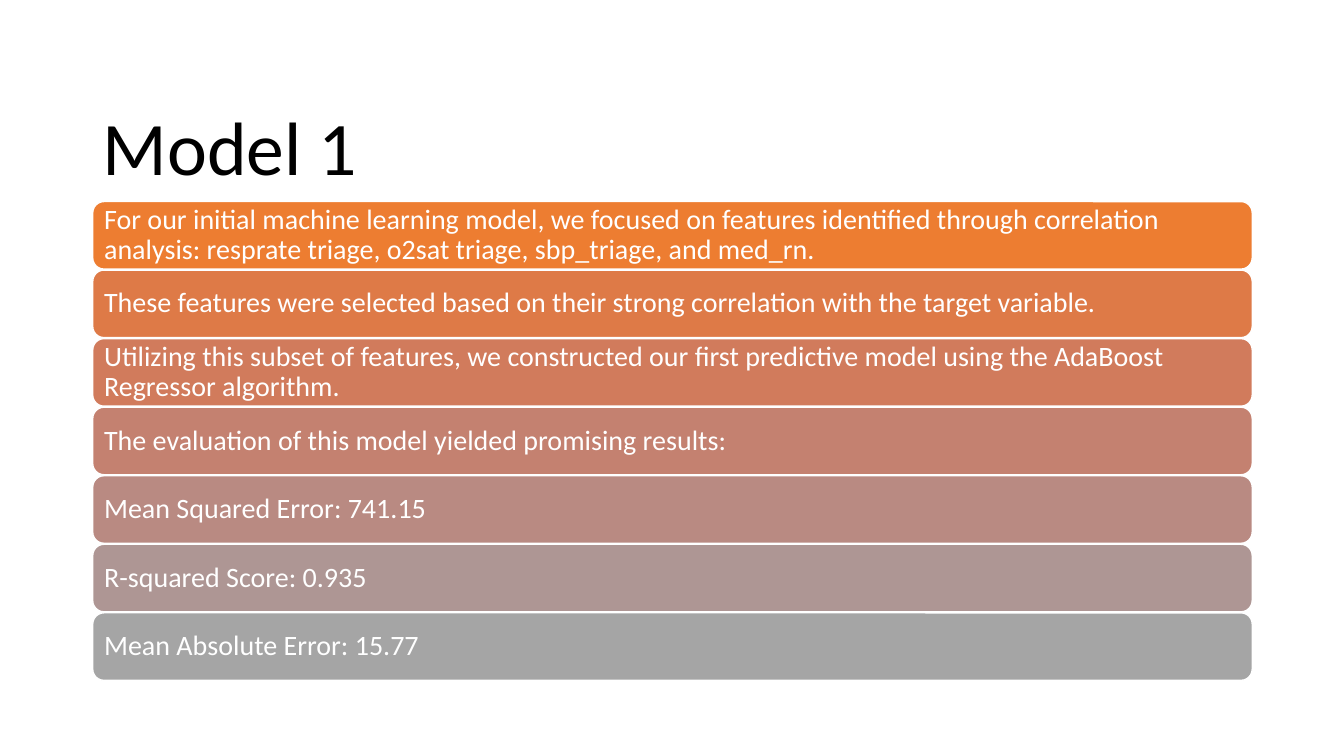
from pptx import Presentation
from pptx import util as u
from pptx.dml.color import RGBColor
from pptx.enum import shapes, text

PX = 9144
FONT = "Calibri"
BARS = [
    ("ED7D31", "For our initial machine learning model, we focused on features identified "
               "through correlation analysis: resprate triage, o2sat triage, sbp_triage, and med_rn."),
    ("DE7A47", "These features were selected based on their strong correlation with the target variable."),
    ("D17B5C", "Utilizing this subset of features, we constructed our first predictive model "
               "using the AdaBoost Regressor algorithm."),
    ("C48170", "The evaluation of this model yielded promising results:"),
    ("B98A82", "Mean Squared Error: 741.15"),
    ("AE9694", "R-squared Score: 0.935"),
    ("A5A5A5", "Mean Absolute Error: 15.77"),
]


def px(n):
    return u.Emu(n * PX)


def paint(form, color):
    form.rgb = RGBColor.from_string(color)


def write(frame, words, size, color, anchor, inset):
    frame.word_wrap = True
    frame.auto_size = text.MSO_AUTO_SIZE.NONE
    frame.vertical_anchor = anchor
    frame.margin_left = frame.margin_right = px(inset)
    para = frame.paragraphs[0]
    para.alignment = text.PP_ALIGN.LEFT
    para.line_spacing = 0.9
    run = para.add_run()
    run.text = words
    run.font.size = u.Pt(size)
    run.font.name = FONT
    paint(run.font.color, color)


def head(slide, box, words):
    title = slide.shapes.title
    title.left, title.top, title.width, title.height = map(px, box)
    write(title.text_frame, words, 54, "000000", text.MSO_ANCHOR.BOTTOM, 10)


def stack(slide, box, bars, gap):
    left, top, width, height = box
    pitch = (height + gap) // len(bars)
    for i, (color, words) in enumerate(bars):
        bar = slide.shapes.add_shape(
            shapes.MSO_SHAPE.ROUNDED_RECTANGLE,
            px(left), px(top + i * pitch), px(width), px(pitch - gap))
        bar.shadow.inherit = False
        bar.fill.solid()
        paint(bar.fill.fore_color, color)
        paint(bar.line.color, "FFFFFF")
        bar.line.width = u.Pt(1)
        frame = bar.text_frame
        frame.margin_top = frame.margin_bottom = px(8)
        write(frame, words, 20, "FFFFFF", text.MSO_ANCHOR.MIDDLE, 8)


def main():
    deck = Presentation()
    deck.slide_width, deck.slide_height = px(1333), px(750)
    slide = deck.slides.add_slide(deck.slide_layouts[5])
    stack(slide, (92, 200, 1150, 475), BARS, 1)
    head(slide, (92, 0, 684, 195), "Model 1")
    deck.save("out.pptx")


if __name__ == "__main__":
    main()
